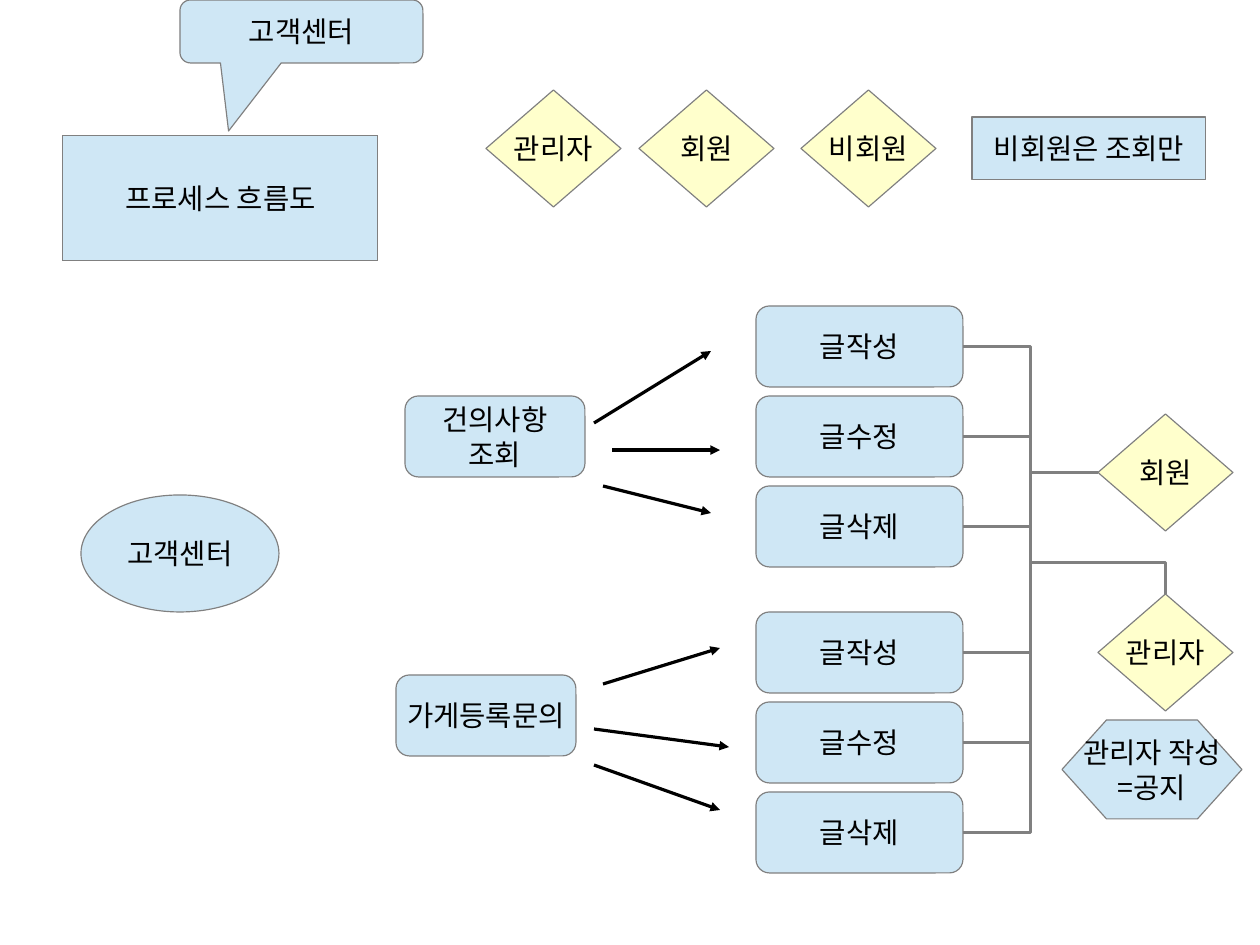
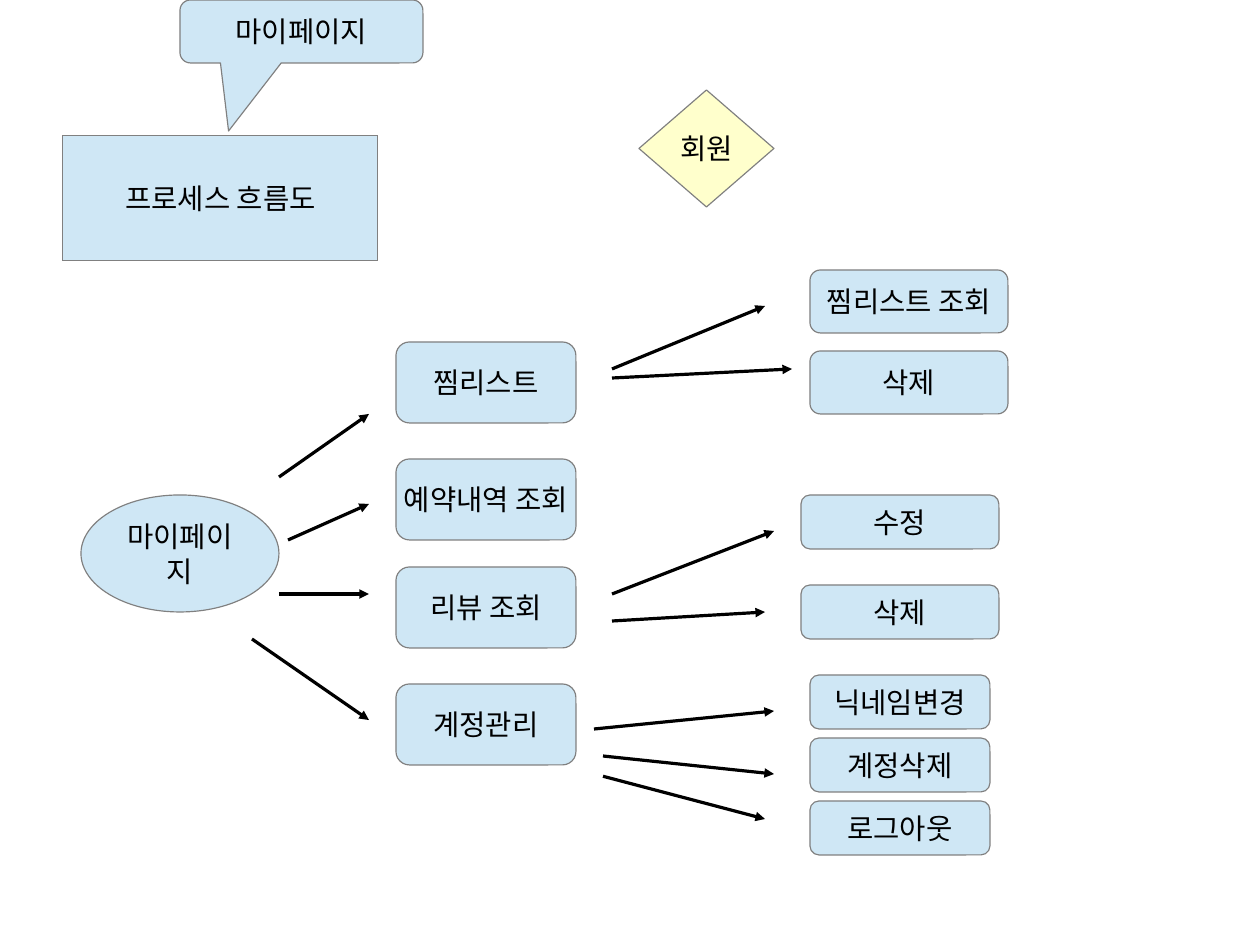
from lxml.etree import SubElement
from pptx import Presentation
from pptx.dml.color import RGBColor
from pptx.enum.shapes import MSO_CONNECTOR as LINK, MSO_SHAPE as SHAPE
from pptx.enum.text import MSO_ANCHOR, PP_ALIGN
from pptx.oxml.ns import qn
from pptx.util import Cm, Pt

COLORS = {"step": "CFE7F5", "role": "FFFFCC", "outline": "808080", "ink": "000000"}
FONT = "Noto Sans CJK KR"
ROLE_SIZE = (3, 2.6)
STEP_SIZE = (4, 1.8)


def add_node(slide, kind, text, x, y, w, h, wrap=False):
    """Add a labelled shape; with kind None the title placeholder is used."""
    box = [Cm(v) for v in (x, y, w, h)]
    if kind is None:
        node = slide.shapes.title
        node.left, node.top, node.width, node.height = box
    else:
        node = slide.shapes.add_shape(kind, *box)
        node.shadow.inherit = False
    fill = COLORS["role" if kind == SHAPE.DIAMOND else "step"]
    node.fill.solid()
    node.fill.fore_color.rgb = RGBColor.from_string(fill)
    node.line.color.rgb = RGBColor.from_string(COLORS["outline"])
    node.line.width = Pt(0)
    frame = node.text_frame
    frame.text = text
    frame.word_wrap = wrap
    frame.vertical_anchor = MSO_ANCHOR.MIDDLE
    for paragraph in frame.paragraphs:
        paragraph.alignment = PP_ALIGN.CENTER
        paragraph.font.size = Pt(18)
        paragraph.font.name = FONT
        paragraph.font.color.rgb = RGBColor.from_string(COLORS["ink"])
        defaults = paragraph._p.get_or_add_pPr().find(qn("a:defRPr"))
        SubElement(defaults, qn("a:ea"), typeface=FONT)
    return node


def add_link(slide, kind, x1, y1, x2, y2):
    """Add a straight black arrow, or a plain grey elbow."""
    link = slide.shapes.add_connector(kind, Cm(x1), Cm(y1), Cm(x2), Cm(y2))
    straight = kind == LINK.STRAIGHT
    link.line.color.rgb = RGBColor.from_string(COLORS["ink" if straight else "outline"])
    link.line.width = Pt(0)
    if straight:
        SubElement(link.line._get_or_add_ln(), qn("a:tailEnd"), type="triangle")
    SubElement(link._element.spPr, qn("a:effectLst"))
    return link


prs = Presentation()
prs.slide_width, prs.slide_height = Cm(28), Cm(21)

# Shared header and starting point
slides = []
for topic in ("고객센터", "마이페이지"):
    slide = prs.slides.add_slide(prs.slide_layouts[5])
    add_node(slide, None, "프로세스 흐름도", 1.4, 3, 7, 2.8, wrap=True)
    callout = add_node(slide, SHAPE.ROUNDED_RECTANGULAR_CALLOUT, topic, 4, 0, 5.4, 1.4)
    callout.adjustments[0] = -0.3
    callout.adjustments[1] = 1.58
    add_node(slide, SHAPE.OVAL, topic, 1.8, 11, 4.4, 2.6, wrap=True)
    add_node(slide, SHAPE.DIAMOND, "회원", 14.2, 2, *ROLE_SIZE)
    slides.append(slide)
support, my_page = slides

# Customer support: roles and inquiry kinds
for role, x in (("관리자", 10.8), ("비회원", 17.8)):
    add_node(support, SHAPE.DIAMOND, role, x, 2, *ROLE_SIZE)
add_node(support, SHAPE.RECTANGLE, "비회원은 조회만", 21.6, 2.6, 5.2, 1.4, wrap=True)
add_node(support, SHAPE.ROUNDED_RECTANGLE, "건의사항\n조회", 9, 8.8, *STEP_SIZE)
add_node(support, SHAPE.ROUNDED_RECTANGLE, "가게등록문의", 8.8, 15, *STEP_SIZE)
member = add_node(support, SHAPE.DIAMOND, "회원", 24.4, 9.2, *ROLE_SIZE)
admin = add_node(support, SHAPE.DIAMOND, "관리자", 24.4, 13.2, *ROLE_SIZE)
notice = add_node(support, SHAPE.HEXAGON, "관리자 작성\n=공지", 23.6, 16, 4, 2.2)
notice.adjustments[0] = 0.45

# Post actions of both inquiry kinds, joined to the member
for group_top in (6.8, 13.6):
    for row, action in enumerate(("글작성", "글수정", "글삭제")):
        y = group_top + 2 * row
        post = add_node(support, SHAPE.ROUNDED_RECTANGLE, action, 16.8, y, 4.6, 1.8)
        elbow = add_link(support, LINK.ELBOW, 21.4, y + 0.9, 24.4, 10.5)
        elbow.begin_connect(post, 3)
        elbow.end_connect(member, 1)

admin_elbow = add_link(support, LINK.ELBOW, 22.9, 12.5, 25.9, 13.2)
admin_elbow._element.spPr.find(qn("a:prstGeom")).set("prst", "bentConnector2")
admin_elbow.end_connect(admin, 0)

# My page: menus and their actions
for menu, y in (("찜리스트", 7.6), ("예약내역 조회", 10.2), ("리뷰 조회", 12.6), ("계정관리", 15.2)):
    add_node(my_page, SHAPE.ROUNDED_RECTANGLE, menu, 8.8, y, *STEP_SIZE)

action_groups = [
    # actions, left, top, step, width, height
    (("찜리스트 조회", "삭제"), 18, 6, 1.8, 4.4, 1.4),
    (("수정", "삭제"), 17.8, 11, 2, 4.4, 1.2),
    (("닉네임변경", "계정삭제", "로그아웃"), 18, 15, 1.4, 4, 1.2),
]
for actions, x, top, step, w, h in action_groups:
    for row, action in enumerate(actions):
        add_node(my_page, SHAPE.ROUNDED_RECTANGLE, action, x, top + step * row, w, h)

# Arrows: start x, y, end x, y
flows = [
    (support, [
        (13.2, 9.4, 15.8, 7.8), (13.6, 10, 16, 10), (13.4, 10.8, 15.8, 11.4),
        (13.4, 15.2, 16, 14.4), (13.2, 16.2, 16.2, 16.6), (13.2, 17, 16, 18),
    ]),
    (my_page, [
        (6.2, 10.6, 8.2, 9.2), (6.4, 12, 8.2, 11.2),
        (6.2, 13.2, 8.2, 13.2), (5.6, 14.2, 8.2, 16),
        (13.6, 8.2, 17, 6.8), (13.6, 8.4, 17.6, 8.2),
        (13.6, 13.2, 17.2, 11.8), (13.6, 13.8, 17, 13.6),
        (13.2, 16.2, 17.2, 15.8), (13.4, 16.8, 17.2, 17.2), (13.4, 17.25, 17, 18.2),
    ]),
]
for slide, arrows in flows:
    for ends in arrows:
        add_link(slide, LINK.STRAIGHT, *ends)

prs.save("out.pptx")
